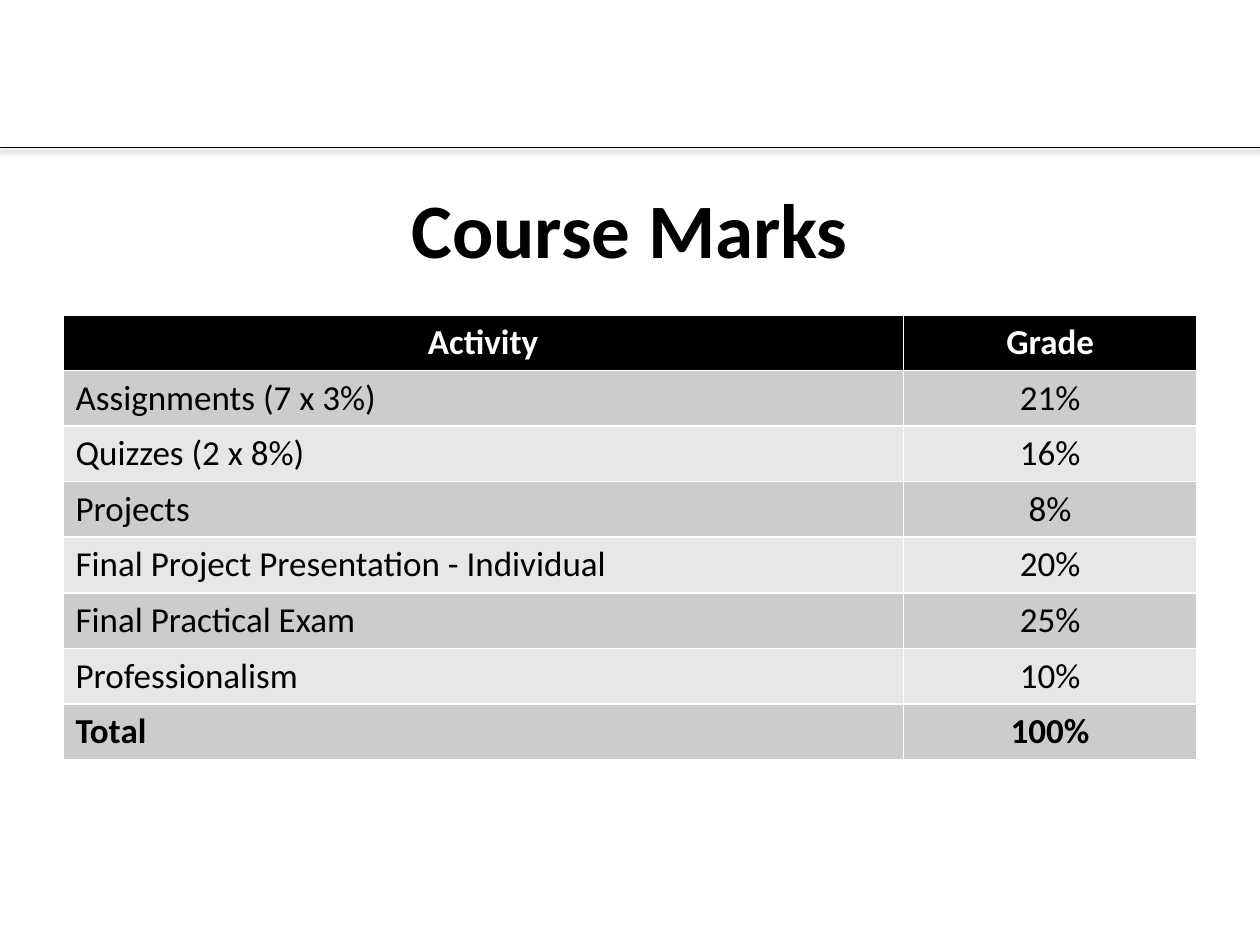
"""Build the Course Marks slide with its table of activities and grades."""
from dataclasses import dataclass

from lxml.etree import fromstring
from pptx import Presentation
from pptx.dml.color import RGBColor
from pptx.enum.shapes import MSO_CONNECTOR
from pptx.enum.text import MSO_ANCHOR, MSO_AUTO_SIZE, PP_ALIGN
from pptx.oxml.ns import nsdecls
from pptx.util import Cm, Pt


@dataclass(frozen=True)
class Theme:
    font: str = "Calibri"
    black: RGBColor = RGBColor(0x00, 0x00, 0x00)
    white: RGBColor = RGBColor(0xFF, 0xFF, 0xFF)
    bands: tuple = (RGBColor(0xE7, 0xE7, 0xE7), RGBColor(0xCC, 0xCC, 0xCC))
    title_size: Pt = Pt(44)
    table_size: Pt = Pt(20)
    rule_width: Pt = Pt(0.25)


theme = Theme()


def write(tf, text, align, color, **font):
    p = tf.paragraphs[0]
    p.alignment = align
    r = p.add_run()
    r.text = text
    r.font.color.rgb = color
    for name, value in {"name": theme.font, **font}.items():
        setattr(r.font, name, value)


prs = Presentation()
prs.slide_width, prs.slide_height = Cm(25.4), Cm(19.05)
s = prs.slides.add_slide(prs.slide_layouts[5])

rule = s.shapes.add_connector(
    MSO_CONNECTOR.STRAIGHT, 0, Cm(2.97), prs.slide_width, Cm(2.97))
rule.line.color.rgb = theme.black
rule.line.width = theme.rule_width
rule._element.spPr.append(fromstring(
    f'<a:effectLst {nsdecls("a")}>'
    f'<a:outerShdw blurRad="{Pt(3.1)}" dist="{Pt(1.6)}" dir="5400000" rotWithShape="0">'
    '<a:srgbClr val="000000"><a:alpha val="38000"/></a:srgbClr>'
    '</a:outerShdw></a:effectLst>'))

title = s.shapes.title
box = {"left": Cm(1.27), "top": Cm(3.81), "width": Cm(22.86), "height": Cm(1.57)}
for name, value in box.items():
    setattr(title, name, value)
tf = title.text_frame
frame = {"vertical_anchor": MSO_ANCHOR.MIDDLE, "auto_size": MSO_AUTO_SIZE.NONE,
         "word_wrap": True}
for name, value in frame.items():
    setattr(tf, name, value)
write(tf, "Course Marks", PP_ALIGN.CENTER, theme.black,
      size=theme.title_size, bold=True)

marks = [
    ("Activity", "Grade"),
    ("Assignments (7 x 3%)", "21%"),
    ("Quizzes (2 x 8%)", "16%"),
    ("Projects", "8%"),
    ("Final Project Presentation - Individual", "20%"),
    ("Final Practical Exam", "25%"),
    ("Professionalism", "10%"),
    ("Total", "100%"),
]
row_height = Cm(1.12)
table = s.shapes.add_table(len(marks), 2, Cm(1.27), Cm(6.35), Cm(22.86),
                           row_height * len(marks)).table
for column, width in zip(table.columns, (Cm(16.94), Cm(5.92))):
    column.width = width

for i, row in enumerate(marks):
    table.rows[i].height = row_height
    header = i == 0
    bold = header or row[0] == "Total"
    for j, text in enumerate(row):
        cell = table.cell(i, j)
        cell.fill.solid()
        cell.fill.fore_color.rgb = theme.black if header else theme.bands[i % 2]
        write(cell.text_frame, text,
              PP_ALIGN.CENTER if header or j else PP_ALIGN.LEFT,
              theme.white if header else theme.black,
              size=theme.table_size, bold=bold)

prs.save("out.pptx")
